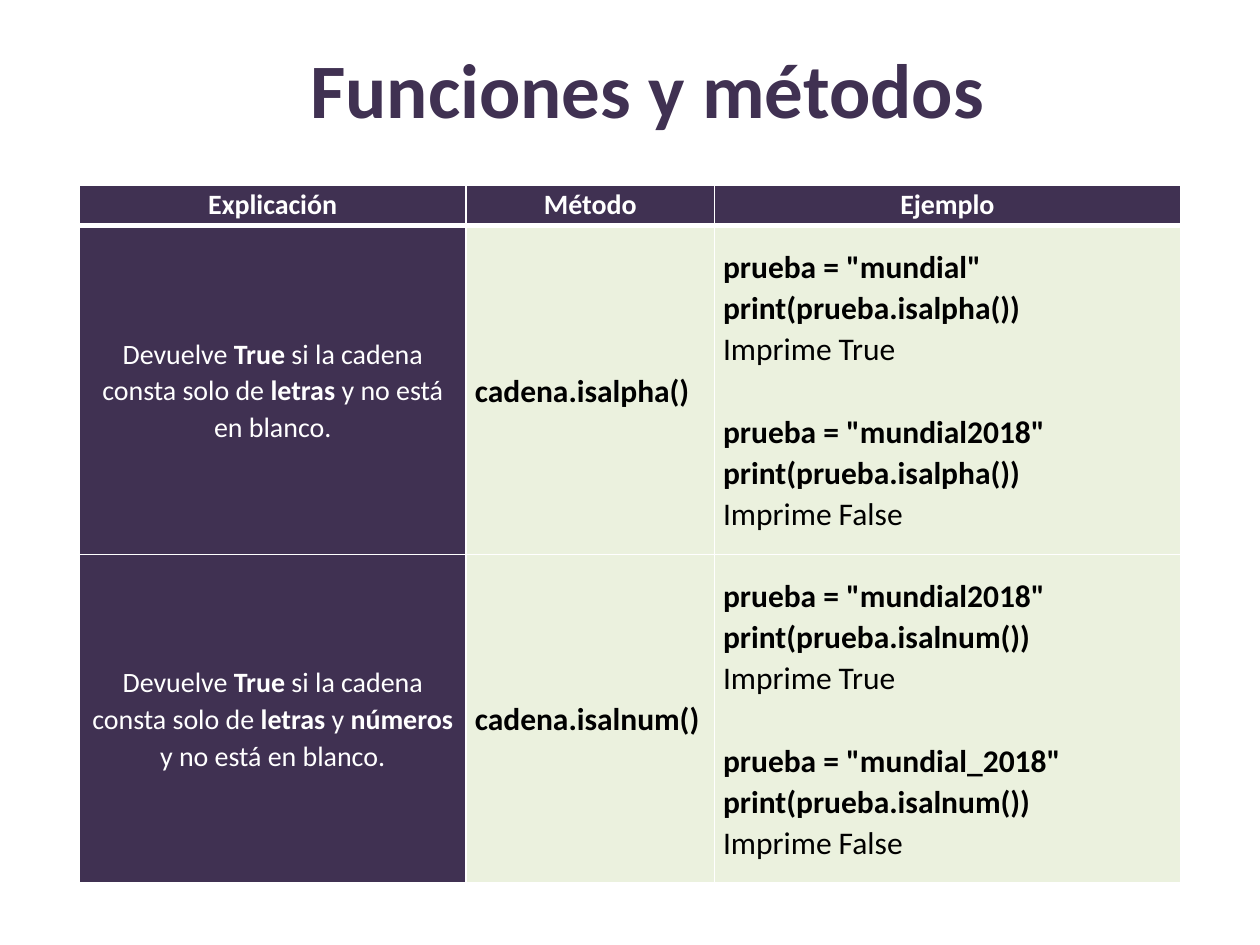
"""Build a slide with a table of Python string methods."""
from dataclasses import dataclass

from lxml.etree import SubElement as Sub
from pptx import Presentation
from pptx.dml.color import RGBColor as Rgb
from pptx.enum.text import MSO_ANCHOR as Anchor, PP_ALIGN as Align
from pptx.oxml.ns import qn
from pptx.util import Inches, Pt


@dataclass(frozen=True)
class Theme:
    font: str = "Calibri"
    dark: str = "403152"
    pale: str = "EBF1DE"
    white: str = "FFFFFF"
    black: str = "000000"
    title: int = 44
    text: int = 16
    code: int = 18
    lead: float = 1.07
    gap: float = 23.5
    thin: int = 1
    thick: int = 3


@dataclass(frozen=True)
class Look:
    fill: str
    ink: str
    size: int
    align: Align
    anchor: Anchor = Anchor.MIDDLE
    pad: float = 0.07
    bold: bool = False


@dataclass(frozen=True)
class Method:
    note: str
    name: str
    tests: tuple[tuple[str, bool], ...]

    def code(self) -> list[list[str]]:
        return [[f'*prueba = "{word}"*', f"*print(prueba.{self.name}())*",
                 f"Imprime {result}"] for word, result in self.tests]


T = Theme()
HEAD = Look(T.dark, T.white, T.text, Align.CENTER, Anchor.TOP, 0.03, True)
NOTE = Look(T.dark, T.white, T.text, Align.CENTER)
CODE = Look(T.pale, T.black, T.code, Align.LEFT)

HEADS = ("Explicación", "Método", "Ejemplo")
METHODS = (
    Method("Devuelve *True* si la cadena consta solo de *letras *y no está en blanco.",
           "isalpha", (("mundial", True), ("mundial2018", False))),
    Method("Devuelve *True* si la cadena consta solo de *letras *y *números *"
           "y no está en blanco.",
           "isalnum", (("mundial2018", True), ("mundial_2018", False))),
)
COLS = (3.07, 1.97, 3.7)
ROWS = (0.32, 2.61, 2.61)


def style(para, size: int, ink: str, align: Align) -> None:
    """Set the font and alignment of a paragraph."""
    para.alignment = align
    para.font.name, para.font.size = T.font, Pt(size)
    para.font.color.rgb = Rgb.from_string(ink)


def write(para, text: str, look: Look) -> None:
    """Write text in which asterisks switch bold on and off."""
    style(para, look.size, look.ink, look.align)
    para.line_spacing = T.lead
    parts = [(part, look.bold or bool(i % 2))
             for i, part in enumerate(text.split("*")) if part]
    if len(parts) == 1:
        para.font.bold = parts[0][1]
    for part, bold in parts:
        run = para.add_run()
        run.text = part
        if len(parts) > 1:
            run.font.bold = bold


def edge(cell, top: int, base: int) -> None:
    """Give a cell white borders."""
    props = cell._tc.get_or_add_tcPr()
    for side, width in zip("LRTB", (T.thin, T.thin, top, base)):
        line = Sub(props, qn(f"a:ln{side}"), w=str(Pt(width)))
        Sub(Sub(line, qn("a:solidFill")), qn("a:srgbClr"), val=T.white)


def fill(cell, groups: list[list[str]], look: Look, top: int, base: int) -> None:
    """Format a cell and write its groups of lines with gaps between."""
    edge(cell, top, base)
    cell.fill.solid()
    cell.fill.fore_color.rgb = Rgb.from_string(look.fill)
    cell.vertical_anchor = look.anchor
    cell.margin_left = cell.margin_right = Inches(look.pad)
    cell.margin_top = cell.margin_bottom = 0
    frame = cell.text_frame
    for g, group in enumerate(groups):
        for i, text in enumerate(group):
            first = g == i == 0
            para = frame.paragraphs[0] if first else frame.add_paragraph()
            write(para, text, look)
            if g and not i:
                para.space_before = Pt(T.gap)


def draw(slide) -> None:
    """Draw the table of methods."""
    table = slide.shapes.add_table(
        len(ROWS), len(COLS), Inches(0.63), Inches(1.47),
        Inches(sum(COLS)), Inches(sum(ROWS))).table
    table.horz_banding = False
    for col, width in zip(table.columns, COLS):
        col.width = Inches(width)
    for row, height in zip(table.rows, ROWS):
        row.height = Inches(height)
    for c, text in enumerate(HEADS):
        fill(table.cell(0, c), [[text]], HEAD, T.thin, T.thick)
    for r, item in enumerate(METHODS, 1):
        top = T.thick if r == 1 else T.thin
        cells = (([[item.note]], NOTE), ([[f"*cadena.{item.name}()*"]], CODE),
                 (item.code(), CODE))
        for c, (groups, look) in enumerate(cells):
            fill(table.cell(r, c), groups, look, top, T.thin)


def main() -> None:
    """Build and save the slide."""
    deck = Presentation()
    deck.slide_width, deck.slide_height = Inches(10), Inches(7.5)
    slide = deck.slides.add_slide(deck.slide_layouts[5])
    title = slide.shapes.title
    title.left, title.top = Inches(1.14), Inches(0.07)
    title.width, title.height = Inches(8), Inches(1.25)
    title.text_frame.text = "Funciones y métodos"
    title.text_frame.vertical_anchor = Anchor.MIDDLE
    para = title.text_frame.paragraphs[0]
    style(para, T.title, T.dark, Align.CENTER)
    para.font.bold = True
    draw(slide)
    deck.save("out.pptx")


if __name__ == "__main__":
    main()
